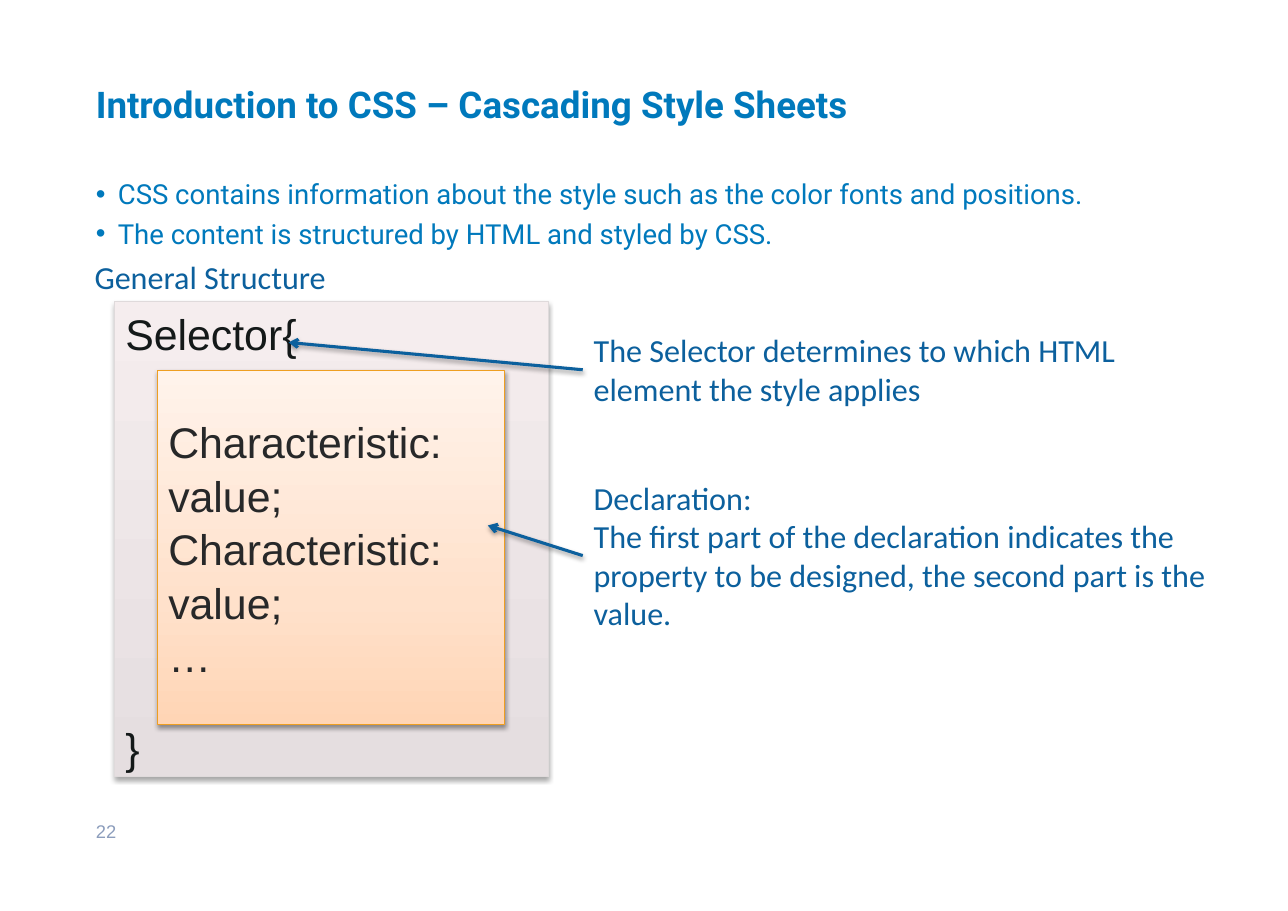
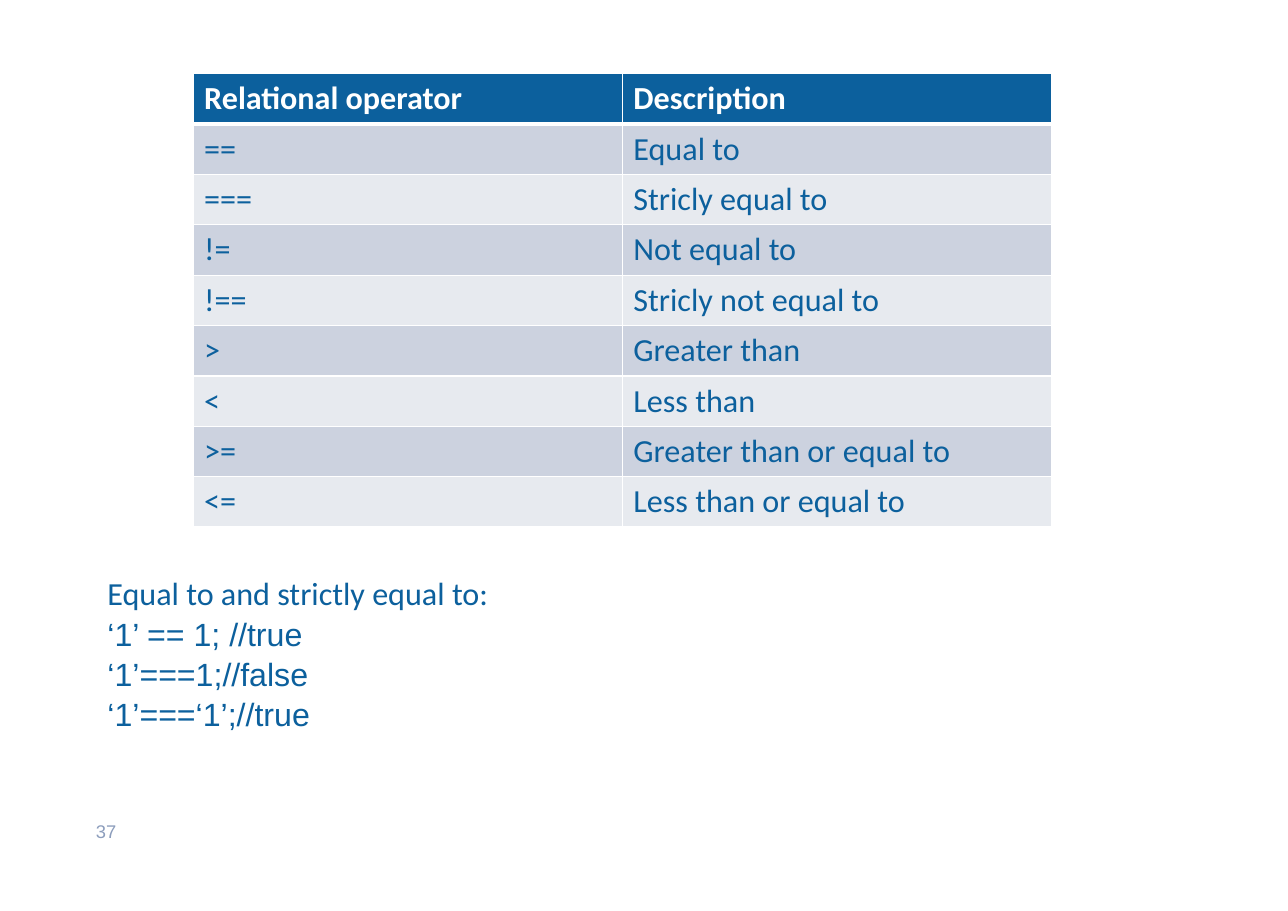
import collections
import pptx
import pptx.dml.color
import pptx.enum.shapes
import pptx.enum.text
import pptx.oxml
import pptx.oxml.ns
import pptx.util

Pt, Inches = pptx.util.Pt, pptx.util.Inches
qn = pptx.oxml.ns.qn
NS = pptx.oxml.ns.nsdecls("a")

HUES = {
    "title": "0079BC", "blue": "0C609D", "pale": "8C9DBC", "white": "FFFFFF",
    "dark": "CCD2DF", "light": "E7EAEF", "ink": "141919", "code": "272829",
    "edge": "DFDADB", "gold": "EE9E21", "black": "000000",
}
GREY = [(0, "E5DEE0"), (100, "F5EDEE")]
PEACH = [(0, "FFD5B5"), (35, "FFE1CB"), (100, "FFF3EB")]

Style = collections.namedtuple("Style", "font size hue bold lead", defaults=(False, 1))
TITLE = Style("Roboto", 24, "title", True)
LIST = Style("Roboto", 18, "title")
NOTE = Style("Calibri", 21, "blue")
HEAD = NOTE._replace(hue="white", bold=True)
MONO = Style("Arial", 21, "blue", lead=1.04)
RULE = Style("Arial", 28, "ink", lead=1.04)
FOOT = Style("Arial", 12, "pale")


class Box(collections.namedtuple("Box", "x y w h")):
    def area(self, x, y, w, h):
        """Box inside this one, given in percent of its size."""
        return Box(self.x + self.w * x / 100, self.y + self.h * y / 100,
                   self.w * w / 100, self.h * h / 100)

    def spot(self, x, y):
        return self.area(x, y, 0, 0)[:2]

    def emu(self):
        return [Inches(n) for n in self]


PAGE = Box(0, 0, 11.69, 8.27)


def color(hue):
    return pptx.dml.color.RGBColor.from_string(HUES[hue])


def dress(para, style):
    para.alignment = pptx.enum.text.PP_ALIGN.LEFT
    para.line_spacing = style.lead
    font = para.font
    font.name, font.size, font.bold = style.font, Pt(style.size), style.bold
    font.color.rgb = color(style.hue)


def write(frame, lines, style):
    frame.word_wrap = True
    frame.text = "\n".join(lines)
    for para in frame.paragraphs:
        dress(para, style)


def inset(frame):
    frame.auto_size = pptx.enum.text.MSO_AUTO_SIZE.NONE
    frame.margin_left = frame.margin_right = Inches(0.11)
    frame.margin_top = frame.margin_bottom = Inches(0.06)


def label(slide, box, lines, style):
    frame = slide.shapes.add_textbox(*box.emu()).text_frame
    write(frame, lines, style)
    return frame


def move(shape, box):
    shape.left, shape.top, shape.width, shape.height = box.emu()


def shade(shape, dist=1.6, alpha=38):
    props = shape._element.spPr
    for old in props.findall(qn("a:effectLst")):
        props.remove(old)
    props.append(pptx.oxml.parse_xml(
        f'<a:effectLst {NS}><a:outerShdw blurRad="{Pt(3.1)}" dist="{Pt(dist)}" '
        f'dir="5400000" rotWithShape="0"><a:srgbClr val="{HUES["black"]}">'
        f'<a:alpha val="{alpha * 1000}"/></a:srgbClr></a:outerShdw></a:effectLst>'))


def panel(slide, box, lines, style, stops, edge):
    shape = slide.shapes.add_shape(
        pptx.enum.shapes.MSO_SHAPE.RECTANGLE, *box.emu())
    shape.fill.gradient()
    shape.fill.gradient_angle = 90
    ramp = shape._element.spPr.find(qn("a:gradFill")).find(qn("a:gsLst"))
    for old in list(ramp):
        ramp.remove(old)
    for place, hue in stops:
        ramp.append(pptx.oxml.parse_xml(
            f'<a:gs {NS} pos="{place * 1000}"><a:srgbClr val="{hue}"/></a:gs>'))
    shape.line.color.rgb = color(edge)
    shape.line.width = Pt(0.75)
    frame = shape.text_frame
    write(frame, lines, style)
    frame.vertical_anchor = pptx.enum.text.MSO_ANCHOR.MIDDLE
    return shape


def arrow(slide, start, end):
    line = slide.shapes.add_connector(
        pptx.enum.shapes.MSO_CONNECTOR.STRAIGHT,
        *[Inches(n) for n in (*start, *end)])
    line.line.color.rgb = color("blue")
    line.line.width = Pt(2)
    line.line._get_or_add_ln().append(
        pptx.oxml.parse_xml(f'<a:tailEnd {NS} type="arrow"/>'))
    shade(line)


def number(slide, text):
    inset(label(slide, PAGE.area(6.5, 89.35, 21.8, 5.3), [text], FOOT))


def title(slide, box, text):
    shape = slide.shapes.title
    move(shape, box)
    write(shape.text_frame, [text], TITLE)
    inset(shape.text_frame)
    shape.text_frame.vertical_anchor = pptx.enum.text.MSO_ANCHOR.MIDDLE


def points(slide, box, lines):
    shape = slide.placeholders[1]
    move(shape, box)
    frame = shape.text_frame
    frame.text = "\n".join(lines)
    inset(frame)
    for i, para in enumerate(frame.paragraphs):
        props = para._p.get_or_add_pPr()
        props.set("marL", str(Inches(0.2)))
        props.set("indent", str(Inches(-0.2)))
        props.append(pptx.oxml.parse_xml(f'<a:buChar {NS} char="•"/>'))
        para.space_before = Pt(4 if i else 0)
        dress(para, LIST)


def syntax(slide, box):
    """Nested panels of a style rule, with arrows from their notes."""
    label(slide, box.area(0, 0, 23, 9.5), ["General Structure"], NOTE)
    outer = box.area(2.66, 9.45, 37.5, 90.55)
    rule = panel(slide, outer, ["Selector{", "}"], RULE, GREY, "edge")
    rule.text_frame.paragraphs[1].space_before = Pt(236)
    shade(rule, 1.8, 35)

    def note(top, wide, high, tip, lines):
        place = box.area(43.1, top, wide, high)
        label(slide, place, lines, NOTE)
        arrow(slide, place.spot(0, 50), box.spot(*tip))

    note(13.9, 51.7, 17, (17.7, 17.2),
         ["The Selector determines to which HTML element the style applies"])
    inner = panel(slide, outer.area(9.9, 14.4, 80, 74.7),
                  ["Characteristic: value;", "Characteristic: value;", "…"],
                  RULE._replace(hue="code"), PEACH, "gold")
    shade(inner)
    note(42, 56.9, 31.7, (34.9, 52.1),
         ["Declaration:",
          "The first part of the declaration indicates the property to be "
          "designed, the second part is the value."])


def border(cell, sides):
    props = cell._tc.get_or_add_tcPr()
    for side, width in sides.items():
        props.append(pptx.oxml.parse_xml(
            f'<a:ln{side} {NS} w="{Pt(width)}"><a:solidFill>'
            f'<a:srgbClr val="{HUES["white"]}"/></a:solidFill></a:ln{side}>'))


def grid(slide, box, rows):
    table = slide.shapes.add_table(len(rows), len(rows[0]), *box.emu()).table
    table.horz_banding = False
    for r, row in enumerate(rows):
        for c, text in enumerate(row):
            cell = table.cell(r, c)
            border(cell, {"L": 1, "R": 1, "T": 3 if r == 1 else 1,
                          "B": 3 if r == 0 else 1})
            cell.fill.solid()
            band = "dark" if r % 2 else "light"
            cell.fill.fore_color.rgb = color(band if r else "blue")
            write(cell.text_frame, [text], NOTE if r else HEAD)


def intro(deck):
    slide = deck.slides.add_slide(deck.slide_layouts[1])
    title(slide, PAGE.area(6.5, 4, 87, 14.75),
          "Introduction to CSS – Cascading Style Sheets")
    points(slide, PAGE.area(6.5, 18.75, 87, 11.25), [
        "CSS contains information about the style such as the color fonts "
        "and positions.",
        "The content is structured by HTML and styled by CSS."])
    number(slide, "22")
    syntax(slide, PAGE.area(6.5, 27.7, 89.9, 57.55))


def compare(deck):
    slide = deck.slides.add_slide(deck.slide_layouts[6])
    number(slide, "37")
    grid(slide, PAGE.area(15, 8.1, 66.65, 49), [
        ("Relational operator", "Description"),
        ("==", "Equal to"),
        ("===", "Stricly equal to"),
        ("!=", "Not equal to"),
        ("!==", "Stricly not equal to"),
        (">", "Greater than"),
        ("<", "Less than"),
        (">=", "Greater than or equal to"),
        ("<=", "Less than or equal to")])
    frame = label(slide, PAGE.area(7.5, 62.4, 32, 18.3), [
        "Equal to and strictly equal to:", "‘1’ == 1; //true",
        "‘1’===1;//false", "‘1’===‘1’;//true"], MONO)
    dress(frame.paragraphs[0], NOTE)


def main():
    deck = pptx.Presentation()
    deck.slide_width, deck.slide_height = Inches(PAGE.w), Inches(PAGE.h)
    intro(deck)
    compare(deck)
    deck.save("out.pptx")


if __name__ == "__main__":
    main()
